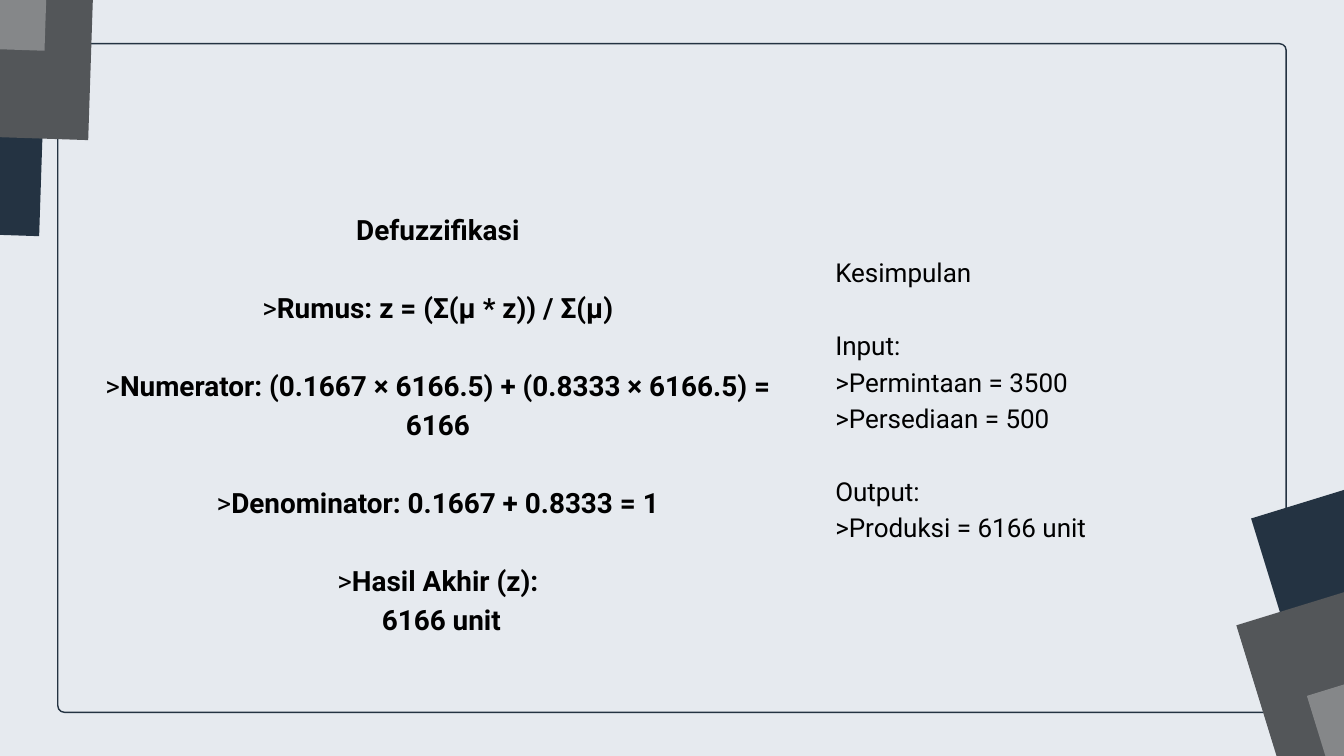
from pptx import Presentation
from pptx.dml.color import RGBColor
from pptx.enum.shapes import MSO_SHAPE as Preset
from pptx.enum.text import PP_ALIGN as Align
from pptx.util import Inches, Pt

PAPER = RGBColor(0xE6, 0xEA, 0xEF)
NAVY = RGBColor(0x24, 0x33, 0x42)
SLATE = RGBColor(0x53, 0x56, 0x59)
GREY = RGBColor(0x85, 0x87, 0x89)
BLACK = RGBColor(0, 0, 0)

TILE_SIZE = (6.07, 6.1)
TOP_LEFT_TILES = [(-5.4, -2.67, NAVY), (-4.67, -4.1, SLATE), (-5.32, -5.43, GREY)]
BOTTOM_RIGHT_TILES = [(19.39, 6.67, NAVY), (19.17, 8.26, SLATE), (20.22, 9.31, GREY)]

DEFUZZIFICATION = [
    ["Defuzzifikasi"],
    [">Rumus: z = (Σ(μ * z)) / Σ(μ)"],
    [">Numerator: (0.1667 × 6166.5) + (0.8333 × 6166.5) = 6166"],
    [">Denominator: 0.1667 + 0.8333 = 1"],
    [">Hasil Akhir (z):", " 6166 unit"],
]
CONCLUSION = [
    ["Kesimpulan"],
    ["Input:", ">Permintaan = 3500", ">Persediaan = 500"],
    ["Output:", ">Produksi = 6166 unit"],
]


def add_panel(slide, preset, box, fill):
    """Add a filled preset shape without shadow or outline."""
    panel = slide.shapes.add_shape(preset, *map(Inches, box))
    panel.shadow.inherit = False
    panel.fill.solid()
    panel.fill.fore_color.rgb = fill
    panel.line.fill.background()
    return panel


def add_frame(slide):
    """Add the thin rounded frame around the content."""
    frame = add_panel(slide, Preset.ROUNDED_RECTANGLE, (0.86, 0.65, 18.28, 9.95), PAPER)
    frame.adjustments[0] = 0.01
    frame.line.color.rgb = NAVY
    frame.line.width = Pt(1.5)


def add_tiles(slide, tiles, angle):
    """Add a stack of tilted corner tiles."""
    for left, top, colour in tiles:
        tile = add_panel(slide, Preset.RECTANGLE, (left, top, *TILE_SIZE), colour)
        tile.rotation = angle


def add_run(paragraph, wording, size, bold):
    """Add one run of black Roboto text."""
    run = paragraph.add_run()
    run.text = wording
    run.font.name = "Roboto"
    run.font.size = Pt(size)
    run.font.bold = bold
    run.font.color.rgb = BLACK


def add_notes_column(slide, box, groups, size, leading, align, bold):
    """Add groups of lines set one line apart, with plain '>' markers."""
    frame = slide.shapes.add_textbox(*map(Inches, box)).text_frame
    frame.word_wrap = True
    frame.margin_left = frame.margin_right = frame.margin_top = frame.margin_bottom = 0
    paragraph = frame.paragraphs[0]
    for group_index, group in enumerate(groups):
        for line_index, line in enumerate(group):
            if group_index or line_index:
                paragraph = frame.add_paragraph()
            paragraph.alignment = align
            paragraph.line_spacing = Pt(leading)
            if group_index and not line_index:
                paragraph.space_before = Pt(leading)
            if line.startswith(">"):
                add_run(paragraph, ">", size, False)
            add_run(paragraph, line.removeprefix(">"), size, bold)


def main():
    """Build the defuzzification slide and save it."""
    deck = Presentation()
    deck.slide_width, deck.slide_height = Inches(20), Inches(11.25)
    slide = deck.slides.add_slide(deck.slide_layouts[6])
    slide.background.fill.solid()
    slide.background.fill.fore_color.rgb = PAPER
    add_frame(slide)
    add_tiles(slide, TOP_LEFT_TILES, 271.9)
    add_tiles(slide, BOTTOM_RIGHT_TILES, 72.9)
    add_notes_column(slide, (1.12, 3.08, 10.79, 6.47), DEFUZZIFICATION,
                     29.9, 41.8, Align.CENTER, True)
    add_notes_column(slide, (12.43, 3.74, 5.87, 4.97), CONCLUSION,
                     27.9, 39.1, Align.LEFT, False)
    deck.save("out.pptx")


if __name__ == "__main__":
    main()
